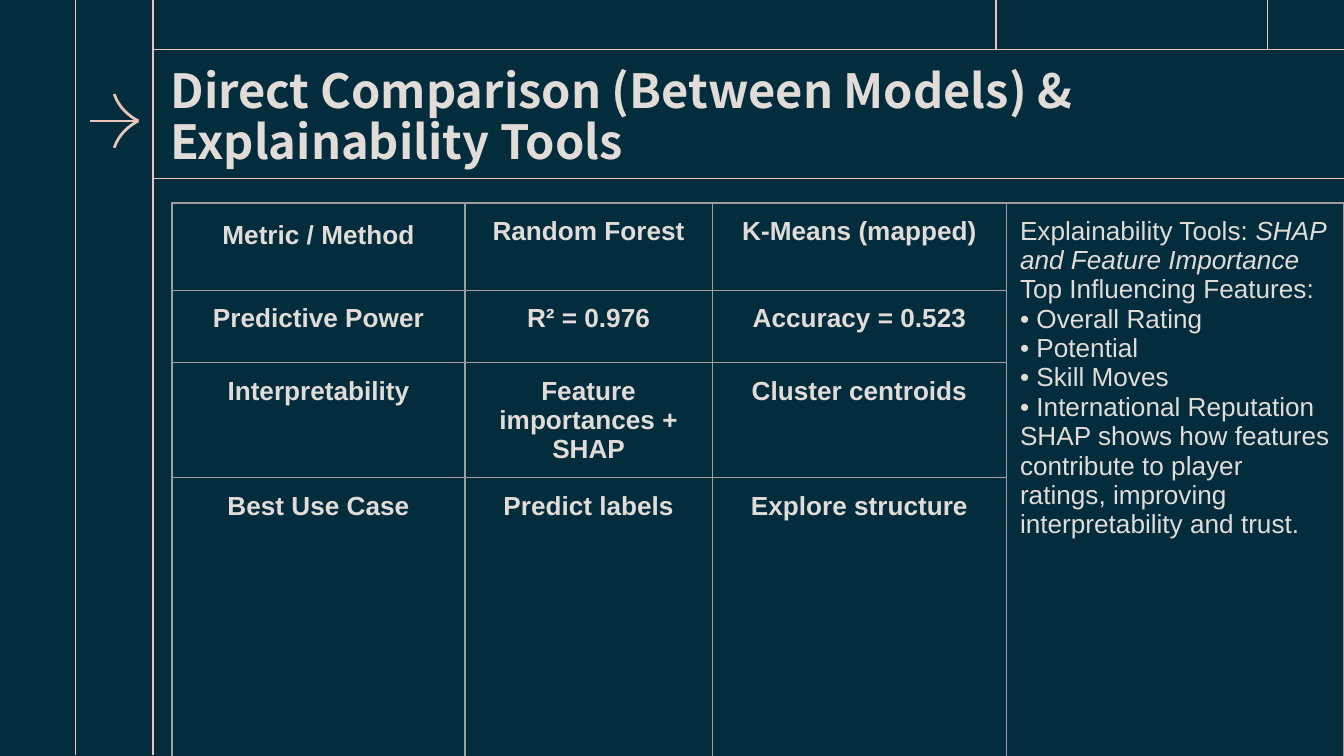
from lxml.etree import SubElement
from pptx import Presentation
from pptx.dml.color import RGBColor
from pptx.enum.text import MSO_ANCHOR, MSO_AUTO_SIZE, PP_ALIGN
from pptx.oxml.ns import qn
from pptx.util import Inches, Pt


def paint(target, color):
    target.solid()
    target.fore_color.rgb = RGBColor.from_string(color)


def stroke(shape, width):
    paint(shape.line.fill, PINK)
    shape.line.width = Pt(width)
    SubElement(shape._element.spPr, qn("a:effectLst"))


PINK, CREAM, GRAY = "E6C5B8", "E1DCD8", "9E9E9E"

deck = Presentation()
deck.slide_width = Inches(10)
deck.slide_height = Inches(10) * 9 // 16
slide = deck.slides.add_slide(deck.slide_layouts[5])
paint(slide.background.fill, "032C3C")

lines = [
    (0.67, 0.9, 1.03, 0.9, 1.5),
    (1.14, 0.37, 10, 0.37, 0.75),
    (7.41, 0, 7.41, 0.37, 0.75),
    (9.43, 0, 9.43, 0.37, 0.75),
    (0.56, 0, 0.56, 5.62, 0.75),
    (1.14, 0, 1.14, 5.62, 0.75),
    (1.14, 1.33, 10, 1.33, 0.75),
]
for *ends, width in lines:
    stroke(slide.shapes.add_connector(1, *map(Inches, ends)), width)

for side in (-1, 1):
    curve = []
    for step in range(13):
        t = step / 12
        mix = ((1 - t) ** 3, 3 * t * (1 - t) ** 2, 3 * t * t * (1 - t), t ** 3)
        x = sum(m * v for m, v in zip(mix, (0.85, 0.88, 0.95, 1.03)))
        y = sum(m * v for m, v in zip(mix, (0.2, 0.11, 0.04, 0)))
        curve.append((Inches(x), Inches(0.9 + side * y)))
    pen = slide.shapes.build_freeform(*curve[0])
    pen.add_line_segments(curve[1:], close=False)
    barb = pen.convert_to_shape()
    barb.fill.background()
    stroke(barb, 1.5)

title = slide.shapes.title
title.left, title.top = Inches(0.97), Inches(0.4)
title.width, title.height = Inches(9.03), Inches(0.97)
frame = title.text_frame
frame.text = "Direct Comparison (Between Models) & Explainability Tools"
frame.word_wrap = True
frame.auto_size = MSO_AUTO_SIZE.NONE
frame.vertical_anchor = MSO_ANCHOR.MIDDLE
frame.margin_left = Inches(0.3)
frame.margin_right = frame.margin_top = frame.margin_bottom = Inches(0.1)
head = frame.paragraphs[0]
head.alignment = PP_ALIGN.LEFT
head.line_spacing = 0.9
head.font.size, head.font.bold = Pt(25.2), True
head.font.name = "Noto Sans CJK KR"
paint(head.font.fill, CREAM)

rows = [
    ("Metric / Method", "Random Forest", "K-Means (mapped)"),
    ("Predictive Power", "R² = 0.976", "Accuracy = 0.523"),
    ("Interpretability", "Feature importances + SHAP", "Cluster centroids"),
    ("Best Use Case", "Predict labels", "Explore structure"),
]
notes = [
    "Explainability Tools: ",
    "Top Influencing Features:",
    "• Overall Rating",
    "• Potential",
    "• Skill Moves",
    "• International Reputation",
    "SHAP shows how features contribute to player ratings, "
    "improving interpretability and trust.",
]

box = (Inches(v) for v in (1.28, 1.51, 8.72, 2.59))
table = slide.shapes.add_table(4, 4, *box).table
table.first_row = table.horz_banding = False
for col, width in zip(table.columns, (2.18, 1.84, 2.19, 2.51)):
    col.width = Inches(width)
for row, height in zip(table.rows, (0.65, 0.54, 0.59, 0.81)):
    row.height = Inches(height)
side = table.cell(0, 3)
side.merge(table.cell(3, 3))

for r, row in enumerate(rows):
    for c, text in enumerate(row):
        table.cell(r, c).text = text
side.text = "\n".join(notes)
tools = side.text_frame.paragraphs[0].add_run()
tools.text = "SHAP and Feature Importance"
tools.font.italic = True

for r in range(4):
    for c in range(4):
        cell = table.cell(r, c)
        cell.margin_left = cell.margin_right = Inches(0.1)
        cell.margin_top = cell.margin_bottom = Inches(0.1)
        props = cell._tc.get_or_add_tcPr()
        for tag in ("a:lnL", "a:lnR", "a:lnT", "a:lnB"):
            edge = SubElement(props, qn(tag), w=str(Pt(0.75)))
            fill = SubElement(edge, qn("a:solidFill"))
            SubElement(fill, qn("a:srgbClr"), val=GRAY)
        cell.fill.background()
        for para in cell.text_frame.paragraphs:
            para.alignment = PP_ALIGN.CENTER if c < 3 else PP_ALIGN.LEFT
            para.font.name, para.font.size = "Arial", Pt(14)
            para.font.bold = c < 3
            paint(para.font.fill, CREAM)
table.cell(0, 0).text_frame.paragraphs[0].line_spacing = 1.15

deck.save("out.pptx")
